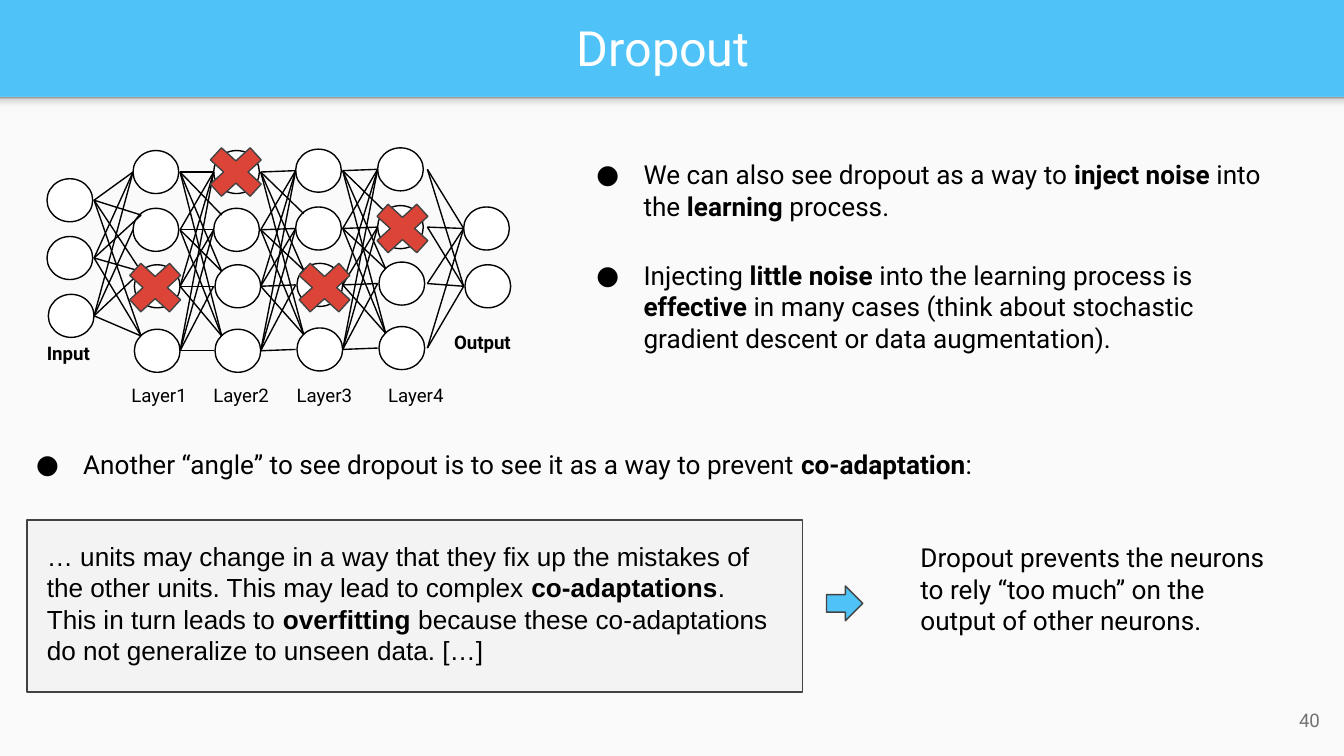
from itertools import product

from lxml import etree
from pptx import Presentation
from pptx.dml.color import RGBColor
from pptx.enum.shapes import MSO_CONNECTOR, MSO_SHAPE
from pptx.enum.text import MSO_ANCHOR, MSO_AUTO_SIZE, PP_ALIGN
from pptx.oxml.ns import qn
from pptx.util import Inches, Pt

RECT, OVAL = MSO_SHAPE.RECTANGLE, MSO_SHAPE.OVAL
CROSS, ARROW = MSO_SHAPE.MATH_MULTIPLY, MSO_SHAPE.RIGHT_ARROW
STRAIGHT = MSO_CONNECTOR.STRAIGHT
LEFT, CENTER, RIGHT = PP_ALIGN.LEFT, PP_ALIGN.CENTER, PP_ALIGN.RIGHT
TOP, MIDDLE = MSO_ANCHOR.TOP, MSO_ANCHOR.MIDDLE
FIXED, GROW = MSO_AUTO_SIZE.NONE, MSO_AUTO_SIZE.SHAPE_TO_FIT_TEXT

BLUE = RGBColor(0x4F, 0xC3, 0xF7)
PAPER = RGBColor(0xFA, 0xFA, 0xFA)
PANEL = RGBColor(0xF3, 0xF3, 0xF3)
WHITE = RGBColor(0xFF, 0xFF, 0xFF)
BLACK = RGBColor(0, 0, 0)
OUTLINE = RGBColor(0x42, 0x42, 0x42)
RED = RGBColor(0xDB, 0x44, 0x37)
GRAY = RGBColor(0x73, 0x73, 0x73)
SHADE = RGBColor(0xF9, 0xF9, 0xF9)
SHADE_MID = RGBColor(0xDE, 0xDE, 0xDE)
SHADE_DARK = RGBColor(0x99, 0x99, 0x99)

COLUMNS, ROWS = 100, 56.25
NEURON_W, NEURON_H = 3.4, 3.2


def grid(*cells):
    return [Inches(cell / 10) for cell in cells]


class Deck:
    font = "Roboto"
    line_width = Pt(0.75)

    def __init__(self):
        self.file = Presentation()
        self.file.slide_width, self.file.slide_height = grid(COLUMNS, ROWS)
        self.slide = self.file.slides.add_slide(self.file.slide_layouts[5])
        self.canvas = self.slide.shapes
        background = self.slide.background.fill
        background.solid()
        background.fore_color.rgb = BLUE

    def fill_frame(self, frame, parts, size, color, align, anchor, fit, font, bold=False):
        frame.word_wrap = True
        frame.auto_size = fit
        frame.vertical_anchor = anchor
        frame.margin_left = frame.margin_right = Inches(0.1)
        frame.margin_top = frame.margin_bottom = Inches(0.1)
        paragraph = frame.paragraphs[0]
        paragraph.alignment = align
        for index, words in enumerate(parts):
            run = paragraph.add_run()
            run.text = words
            run.font.name = font
            run.font.size = Pt(size)
            run.font.color.rgb = color
            run.font.bold = bold or index % 2 == 1
        return paragraph

    def title(self, box, words):
        holder = self.slide.shapes.title
        holder.left, holder.top, holder.width, holder.height = grid(*box)
        self.fill_frame(holder.text_frame, [words], 26, WHITE, CENTER, MIDDLE, FIXED, self.font)

    def text(self, box, *parts, size=14, color=BLACK, align=LEFT, anchor=TOP,
             fit=GROW, font=font, bold=False):
        frame = self.canvas.add_textbox(*grid(*box)).text_frame
        return self.fill_frame(frame, parts, size, color, align, anchor, fit, font, bold)

    def bullet(self, box, *parts):
        properties = self.text(box, *parts)._p.get_or_add_pPr()
        properties.set("marL", str(Inches(0.5)))
        properties.set("indent", str(-Inches(0.35)))
        tint = etree.SubElement(properties, qn("a:buClr"))
        etree.SubElement(tint, qn("a:srgbClr"), val=str(BLACK))
        etree.SubElement(properties, qn("a:buFont"), typeface=self.font)
        etree.SubElement(properties, qn("a:buChar"), char="●")

    def shape(self, kind, box, fill, line=None, adjust=None):
        shape = self.canvas.add_shape(kind, *grid(*box))
        shape.shadow.inherit = False
        shape.fill.solid()
        shape.fill.fore_color.rgb = fill
        if line is None:
            shape.line.fill.background()
        else:
            shape.line.color.rgb = line
            shape.line.width = self.line_width
        if adjust is not None:
            shape.adjustments[0] = adjust
        return shape

    def gradient(self, box, stops):
        shape = self.shape(RECT, box, SHADE)
        shape.fill.gradient()
        shape.fill.gradient_angle = 90
        stop_list = shape._element.spPr.find(qn("a:gradFill")).find(qn("a:gsLst"))
        for stop in list(stop_list):
            stop_list.remove(stop)
        for percent, color in stops:
            stop = etree.SubElement(stop_list, qn("a:gs"), pos=str(percent * 1000))
            etree.SubElement(stop, qn("a:srgbClr"), val=str(color))

    def link(self, start, end):
        link = self.canvas.add_connector(STRAIGHT, *grid(*start, *end))
        link.line.color.rgb = BLACK
        link.line.width = self.line_width
        etree.SubElement(link._element.spPr, qn("a:effectLst"))

    def layer(self, left, top, offsets):
        neurons = []
        for index, offset in enumerate(offsets):
            x = left + (0.1 if index >= len(offsets) / 2 else 0)
            self.shape(OVAL, (x, top + offset, NEURON_W, NEURON_H), WHITE, BLACK)
            neurons.append((left, top + offset + NEURON_H / 2))
        return neurons

    def connect(self, sources, targets, reach, enters_above):
        for (i, (x1, y1)), (j, (x2, y2)) in product(enumerate(sources), enumerate(targets)):
            end = (x2 + 0.6, y2 - 1.1) if enters_above(i, j) else (x2, y2)
            self.link((x1 + reach, y1), end)

    def start_group(self):
        self.canvas = self.slide.shapes.add_group_shape().shapes

    def end_group(self):
        self.canvas = self.slide.shapes


def draw_network(deck):
    deck.start_group()
    four = (0, 4.3, 8.5, 13.3)
    inputs = deck.layer(3.5, 13.3, four[:2] + (8.6,))
    hidden = [deck.layer(left, top, four)
              for left, top in ((9.9, 11.2), (15.9, 11.2), (22, 11.1), (28.1, 11))]
    outputs = deck.layer(34.5, 15.4, four[:2])
    deck.connect(inputs, hidden[0], 3.5, lambda i, j: j >= max(i, 1))
    for sources, targets in zip(hidden, hidden[1:]):
        deck.connect(sources, targets, 3.5, lambda i, j: j > i)
    deck.connect(hidden[-1], outputs, 3.7, lambda i, j: False)
    for number, left in enumerate((8.8, 14.9, 21.1, 27.9), 1):
        deck.text((left, 27.7, 8.4, 3.7), f"Layer{number}", size=10)
    deck.text((32.8, 23.8, 10.2, 3.7), "Output", size=10, bold=True)
    deck.text((2.5, 24.6, 10.2, 3.7), "Input", size=10, bold=True)
    deck.end_group()
    for left, top in ((14.7, 10.2), (8.7, 18.8), (27.1, 14.4), (21.3, 18.8)):
        deck.shape(CROSS, (left, top, 5.7, 5.2), RED, OUTLINE, 0.235)


def main():
    deck = Deck()
    deck.shape(RECT, (0, 7.2, COLUMNS, ROWS - 7.2), PAPER)
    deck.gradient((0, 7.2, COLUMNS, 1.2),
                  ((0, SHADE), (36, SHADE), (80, SHADE_MID), (100, SHADE_DARK)))
    deck.title((1.1, 0.2, 96.5, 6.6), "Dropout")
    draw_network(deck)
    deck.bullet((41.9, 10.8, 54.7, 6.7), "We can also see dropout as a way to ",
                "inject noise", " into the ", "learning", " process.")
    deck.bullet((41.9, 18.3, 54.7, 9.1), "Injecting ", "little noise",
                " into the learning process is ", "effective",
                " in many cases (think about stochastic gradient descent or data augmentation).")
    deck.bullet((0.2, 32.4, 93.5, 4.4),
                "Another “angle” to see dropout is to see it as a way to prevent ",
                "co-adaptation", ":")
    deck.shape(RECT, (2, 38.7, 57.7, 12.8), PANEL, OUTLINE)
    deck.text((2.5, 39.2, 55.9, 11.4),
              "… units may change in a way that they fix up the mistakes of the other units. "
              "This may lead to complex ", "co-adaptations", ". This in turn leads to ",
              "overfitting",
              " because these co-adaptations do not generalize to unseen data. […]",
              font="Arial")
    deck.shape(ARROW, (61.5, 43.6, 2.7, 2.6), BLUE, OUTLINE)
    deck.text((67.5, 39.3, 29, 9.1),
              "Dropout prevents the neurons to rely “too much” on the output of other neurons.")
    deck.text((93.2, 51.4, 6, 4.3), "40", size=10, color=GRAY, align=RIGHT,
              anchor=MIDDLE, fit=FIXED)
    deck.file.save("out.pptx")


if __name__ == "__main__":
    main()
